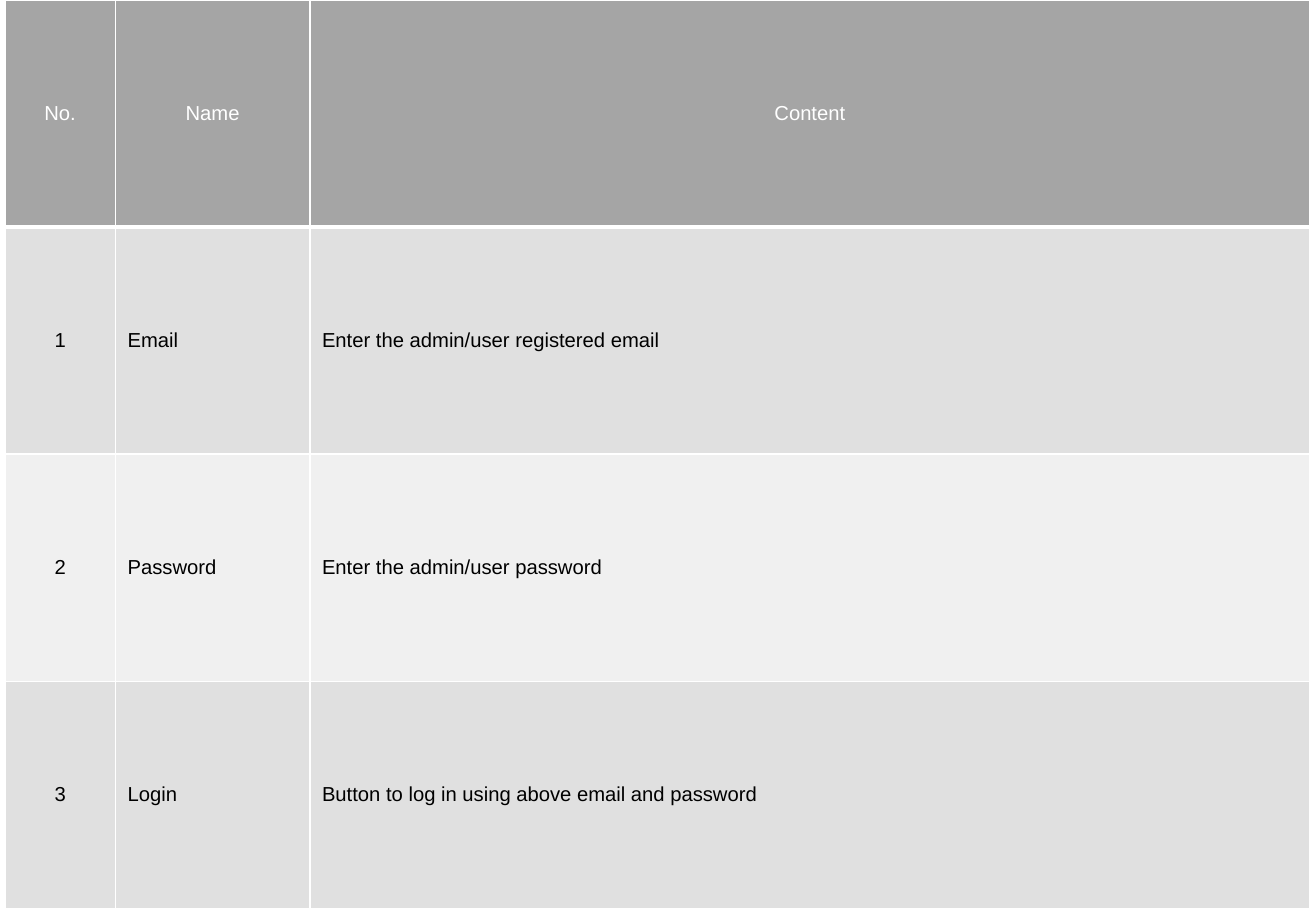
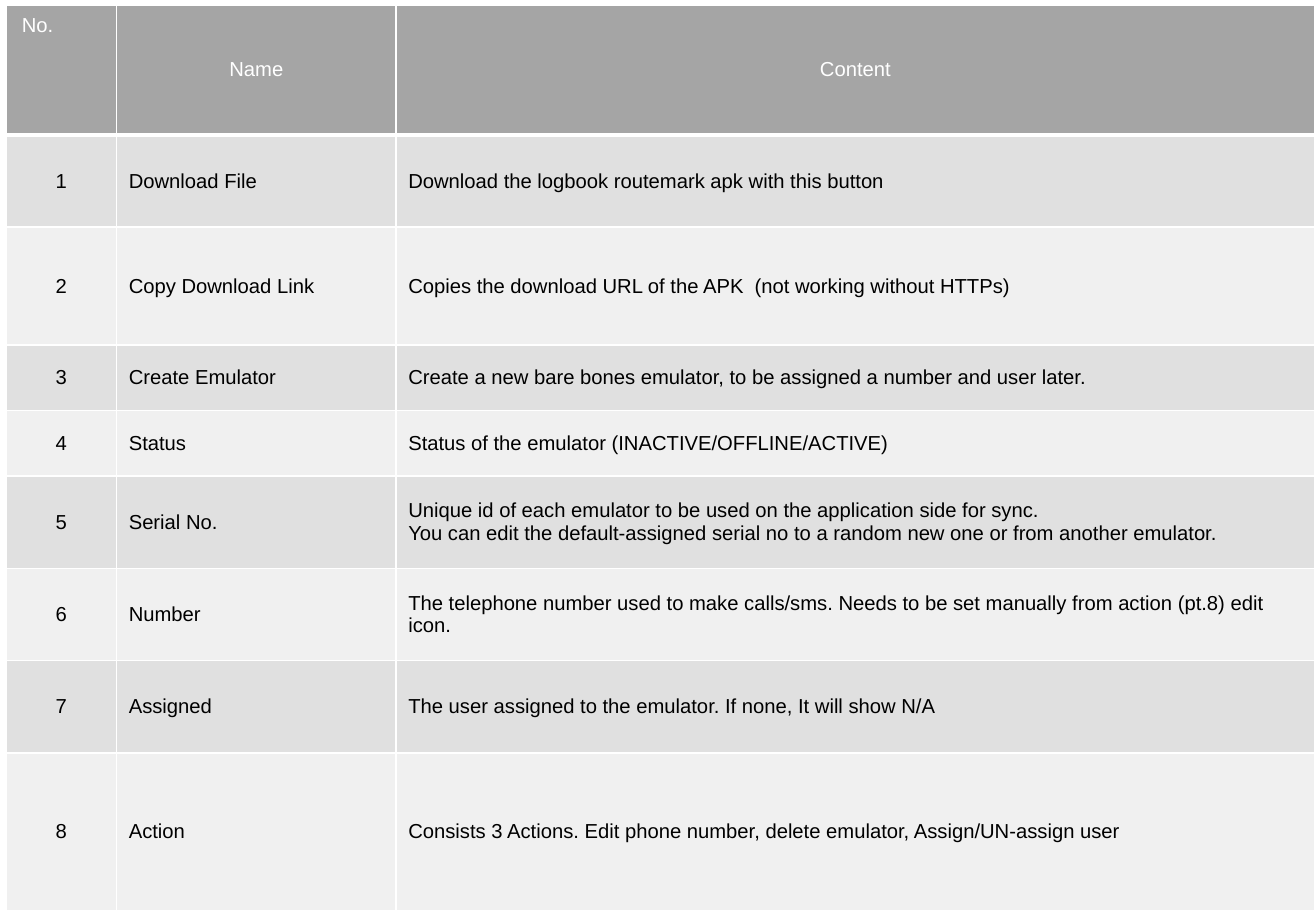
from lxml.etree import SubElement
from pptx import Presentation
from pptx.dml.color import RGBColor
from pptx.enum.text import MSO_ANCHOR as Anchor, PP_ALIGN as Align
from pptx.oxml.ns import qn
from pptx.util import Inches, Pt

# Shared look
SLIDE_W, SLIDE_H = 10.83, 7.5
FONT, SIZE = "Arial", 12
COLORS = {
    "header": "A5A5A5",
    "odd": "E0E0E0",
    "even": "F0F0F0",
    "rule": "FFFFFF",
    "header_text": "FFFFFF",
    "body_text": "000000",
}
THIN, THICK = 0.96, 3
HEADINGS = ("No.", "Name", "Content")

# Content: (name, description) per numbered row
LOGIN_FIELDS = [
    ("Email", "Enter the admin/user registered email"),
    ("Password", "Enter the admin/user password"),
    ("Login", "Button to log in using above email and password"),
]
EMULATOR_FIELDS = [
    ("Download File", "Download the logbook routemark apk with this button"),
    ("Copy Download Link",
     "Copies the download URL of the APK  (not working without HTTPs)"),
    ("Create Emulator",
     "Create a new bare bones emulator, to be assigned a number and user later."),
    ("Status", "Status of the emulator (INACTIVE/OFFLINE/ACTIVE)"),
    ("Serial No.",
     "Unique id of each emulator to be used on the application side for sync.\n"
     "You can edit the default-assigned serial no to a random new one "
     "or from another emulator."),
    ("Number",
     "The telephone number used to make calls/sms. "
     "Needs to be set manually from action (pt.8) edit icon."),
    ("Assigned", "The user assigned to the emulator. If none, It will show N/A"),
    ("Action",
     "Consists 3 Actions. Edit phone number, delete emulator, Assign/UN-assign user"),
]


def rule_cell(cell, top, bottom):
    """Draw the four cell borders; only top and bottom vary in width."""
    properties = cell._tc.get_or_add_tcPr()
    for side, width in (("L", THIN), ("R", THIN), ("T", top), ("B", bottom)):
        border = SubElement(properties, qn(f"a:ln{side}"), w=str(int(Pt(width))))
        fill = SubElement(border, qn("a:solidFill"))
        SubElement(fill, qn("a:srgbClr"), val=COLORS["rule"])


def fill_cell(cell, text, fill, ink, align):
    cell.fill.solid()
    cell.fill.fore_color.rgb = RGBColor.from_string(COLORS[fill])
    cell.vertical_anchor = Anchor.MIDDLE
    cell.text_frame.text = text
    for paragraph in cell.text_frame.paragraphs:
        paragraph.alignment = align
        for run in paragraph.runs:
            run.font.name, run.font.size, run.font.bold = FONT, Pt(SIZE), False
            run.font.color.rgb = RGBColor.from_string(COLORS[ink])


def add_field_table(slide, fields, left, top, columns, rows):
    """Add a numbered field table below a header row."""
    records = [HEADINGS] + [
        (str(number), *field) for number, field in enumerate(fields, 1)]
    table = slide.shapes.add_table(
        len(rows), len(columns), Inches(left), Inches(top),
        Inches(sum(columns)), Inches(sum(rows))).table
    for column, width in zip(table.columns, columns):
        column.width = Inches(width)
    for row, height in zip(table.rows, rows):
        row.height = Inches(height)

    for r, record in enumerate(records):
        header = r == 0
        fill = "header" if header else "odd" if r % 2 else "even"
        ink = "header_text" if header else "body_text"
        for c, text in enumerate(record):
            cell = table.cell(r, c)
            rule_cell(cell, THICK if r == 1 else THIN, THICK if header else THIN)
            fill_cell(cell, text, fill, ink,
                      Align.CENTER if header or c == 0 else Align.LEFT)
    return table


def raise_number_heading(table):
    """Set the first heading in the top left corner of its cell."""
    heading = table.cell(0, 0)
    heading.vertical_anchor = Anchor.TOP
    heading.margin_left, heading.margin_top = Inches(0.13), Inches(0.08)
    heading.text_frame.paragraphs[0].alignment = Align.LEFT


def main():
    deck = Presentation()
    deck.slide_width, deck.slide_height = Inches(SLIDE_W), Inches(SLIDE_H)
    blank = deck.slide_layouts[6]

    # Login screen: four equal rows
    add_field_table(deck.slides.add_slide(blank), LOGIN_FIELDS, 0.04, 0,
                    columns=(0.91, 1.6, 8.23), rows=[1.87] * 4)

    # Emulator screen: row heights follow the content
    single, regular = 0.54, 0.76
    emulators = add_field_table(
        deck.slides.add_slide(blank), EMULATOR_FIELDS, 0.05, 0.04,
        columns=(0.91, 2.3, 7.56),
        rows=[1.07, regular, 0.97, single, single, *[regular] * 3, 1.3])
    raise_number_heading(emulators)

    deck.save("out.pptx")


if __name__ == "__main__":
    main()
